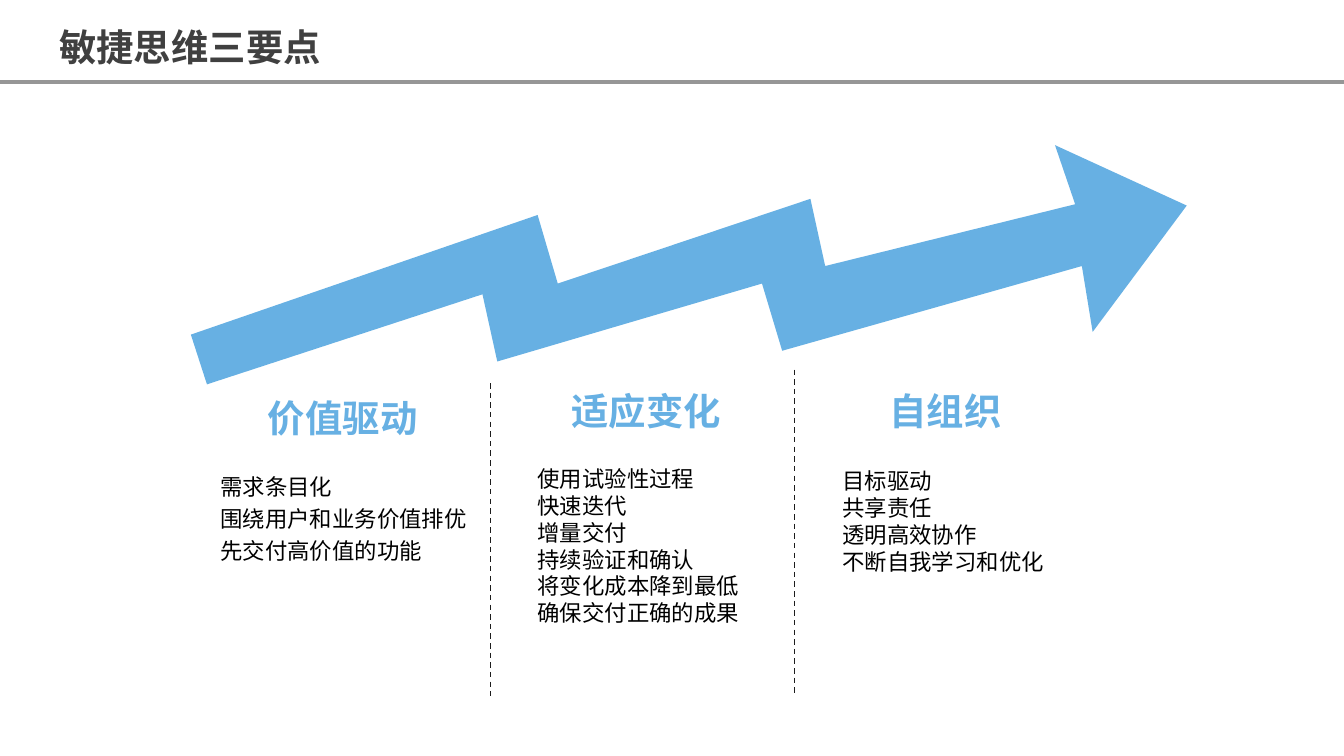
from dataclasses import dataclass

from lxml.etree import SubElement
from pptx import Presentation
from pptx.dml.color import RGBColor
from pptx.enum.dml import MSO_LINE
from pptx.enum.shapes import MSO_CONNECTOR
from pptx.enum.text import MSO_ANCHOR, MSO_AUTO_SIZE, PP_ALIGN
from pptx.oxml.ns import qn
from pptx.util import Inches, Pt


@dataclass(frozen=True)
class Theme:
    font: str = "Noto Sans CJK SC"
    accent: RGBColor = RGBColor(0x67, 0xB0, 0xE3)
    title: RGBColor = RGBColor(0x40, 0x40, 0x40)
    body: RGBColor = RGBColor(0, 0, 0)
    rule: RGBColor = RGBColor(0x96, 0x96, 0x96)
    divider: RGBColor = RGBColor(0x1C, 0x1C, 0x1C)
    heading_size: int = 20
    body_size: int = 12
    line_height: float = 1.2


class Page:
    def __init__(self, slide, theme):
        self.slide = slide
        self.theme = theme

    def line(self, start, end, color, width, dash=None):
        connector = self.slide.shapes.add_connector(
            MSO_CONNECTOR.STRAIGHT, *map(Inches, start + end))
        connector.line.color.rgb = color
        connector.line.width = Pt(width)
        if dash:
            connector.line.dash_style = dash
        SubElement(connector._element.spPr, qn("a:effectLst"))

    def outline(self, points, color):
        start, *rest = [(Inches(x), Inches(y)) for x, y in points]
        builder = self.slide.shapes.build_freeform(*start)
        builder.add_line_segments(rest, close=True)
        shape = builder.convert_to_shape()
        shape.shadow.inherit = False
        shape.fill.solid()
        shape.fill.fore_color.rgb = color
        shape.line.fill.background()

    def text(self, lines, place, size, color, bold=False, align=PP_ALIGN.LEFT,
             spacing=1.0, insets=(0.1, 0.05), placeholder=None):
        """Fill the placeholder with that index, or a new text box if None."""
        lengths = [Inches(value) for value in place]
        if placeholder is None:
            box = self.slide.shapes.add_textbox(*lengths)
        else:
            box = self.slide.placeholders[placeholder]
            box.left, box.top, box.width, box.height = lengths
        frame = box.text_frame
        frame.word_wrap = True
        frame.auto_size = MSO_AUTO_SIZE.NONE
        frame.vertical_anchor = MSO_ANCHOR.TOP
        frame.margin_left = frame.margin_right = Inches(insets[0])
        frame.margin_top = frame.margin_bottom = Inches(insets[1])
        frame.text = "\n".join(lines)
        for paragraph in frame.paragraphs:
            self.format(paragraph, size, color, bold, align, spacing)

    def format(self, paragraph, size, color, bold, align, spacing):
        properties = paragraph._p.get_or_add_pPr()
        properties.set("marL", "0")
        properties.set("indent", "0")
        SubElement(properties, qn("a:buNone"))
        paragraph.alignment = align
        paragraph.line_spacing = Pt(size * self.theme.line_height * spacing)
        paragraph.space_before = paragraph.space_after = Pt(0)
        font = paragraph.font
        font.name = self.theme.font
        font.size = Pt(size)
        font.bold = bold
        font.color.rgb = color
        east_asian = SubElement(properties.find(qn("a:defRPr")), qn("a:ea"))
        east_asian.set("typeface", self.theme.font)

    def title(self, words, place):
        self.text([words], place, self.theme.heading_size, self.theme.title,
                  bold=True, spacing=1.2, placeholder=0)

    def heading(self, words, place, placeholder):
        self.text([words], place, self.theme.heading_size, self.theme.accent,
                  bold=True, align=PP_ALIGN.CENTER, insets=(0.07, 0.04),
                  placeholder=placeholder)

    def list(self, items, place, placeholder, **layout):
        self.text(items, place, self.theme.body_size, self.theme.body,
                  placeholder=placeholder, **layout)


RISING_ARROW = [
    (1.42, 2.49), (4, 1.6), (4.15, 2.11), (6.03, 1.48), (6.14, 1.98),
    (8, 1.52), (7.85, 1.08), (8.83, 1.53), (8.13, 2.47), (8.05, 1.98),
    (5.82, 2.61), (5.67, 2.11), (3.7, 2.69), (3.59, 2.19), (1.54, 2.86),
]

# Heading, its place, items, their place, list layout, placeholder indexes
COLUMNS = [
    ("价值驱动", (1.43, 2.9, 2.24, 0.41),
     ["需求条目化", "围绕用户和业务价值排优", "先交付高价值的功能"],
     (1.54, 3.43, 2.09, 0.83),
     {"align": PP_ALIGN.JUSTIFY, "spacing": 1.2}, (1, 2)),
    ("适应变化", (4.12, 2.85, 1.38, 0.41),
     ["使用试验性过程", "快速迭代", "增量交付", "持续验证和确认",
      "将变化成本降到最低", "确保交付正确的成果"],
     (3.9, 3.41, 1.81, 1.31), {}, (3, 4)),
    ("自组织", (6.31, 2.85, 1.45, 0.41),
     ["目标驱动", "共享责任", "透明高效协作", "不断自我学习和优化"],
     (6.17, 3.43, 1.81, 0.91), {}, (None, None)),
]


def main():
    deck = Presentation()
    deck.slide_width = Inches(10)
    deck.slide_height = deck.slide_width * 9 // 16
    theme = Theme()
    comparison = deck.slide_layouts.get_by_name("Comparison")
    page = Page(deck.slides.add_slide(comparison), theme)

    page.title("敏捷思维三要点", (0.34, 0.06, 2.61, 0.47))
    page.line((0, 0.61), (10, 0.61), theme.rule, 1.75)
    for x, top in [(3.65, 2.85), (5.91, 2.75)]:
        page.line((x, top), (x, 5.18), theme.divider, 0.75, MSO_LINE.DASH)
    page.outline(RISING_ARROW, theme.accent)
    for heading, heading_place, items, list_place, layout, indexes in COLUMNS:
        page.heading(heading, heading_place, indexes[0])
        page.list(items, list_place, indexes[1], **layout)

    deck.save("out.pptx")


if __name__ == "__main__":
    main()
